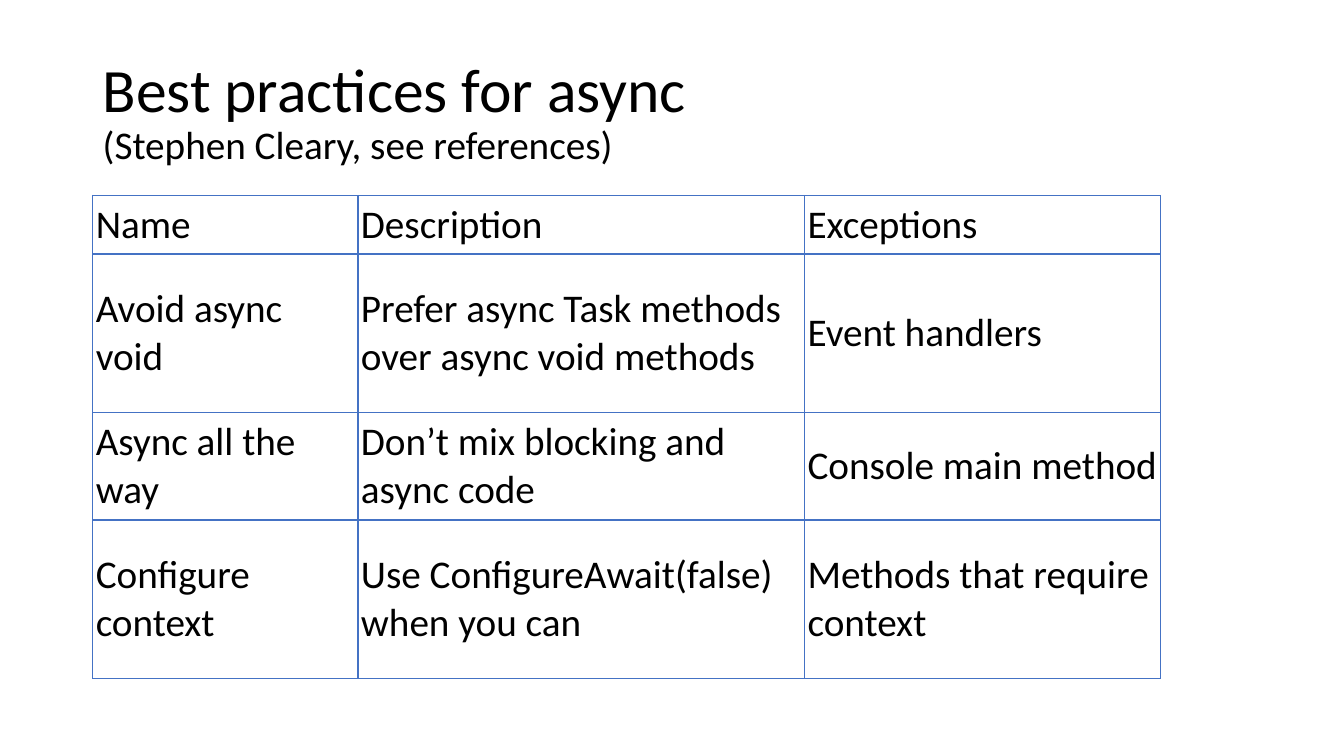
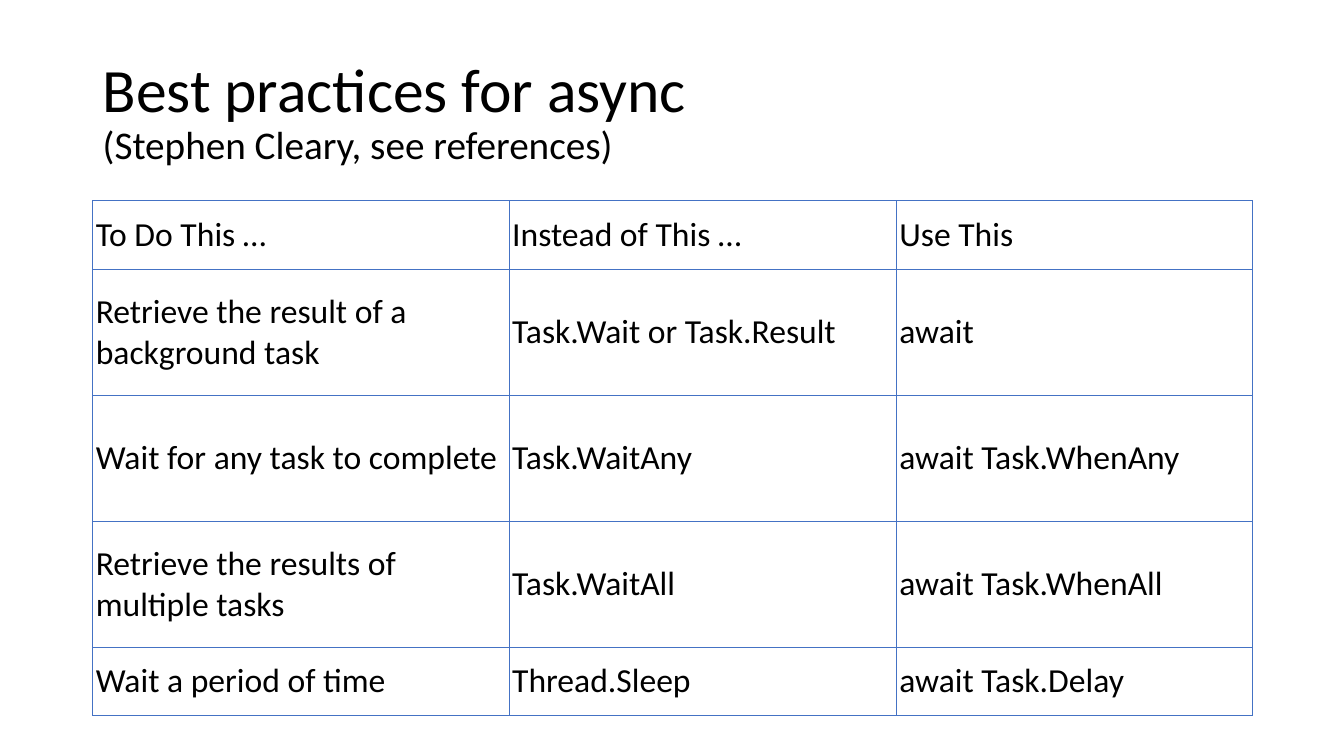
from dataclasses import dataclass

from lxml.etree import SubElement
from pptx import Presentation
from pptx.dml.color import RGBColor
from pptx.enum.text import MSO_ANCHOR
from pptx.oxml.ns import qn
from pptx.util import Inches, Pt


@dataclass(frozen=True)
class Theme:
    font: str = "Calibri"
    ink: str = "000000"
    rule: str = "4472C4"
    paper: str = "FFFFFF"
    title_size: int = 44
    subtitle_size: int = 28
    rule_width: float = 1
    left: float = 0.92
    cell_margin: float = 0.03


THEME = Theme()
SLIDE_SIZE = (13.33, 7.5)
TITLE_AREA = (THEME.left, 0.4, 11.5, 1.45)
TITLE = "Best practices for async"
SUBTITLE = "(Stephen Cleary, see references)"

TABLES = [
    {
        "top": 1.94,
        "size": 28,
        "columns": [2.63, 4.43, 3.53],
        "heights": [0.58, 1.57, 1.07, 1.57],
        "rows": [
            ("Name", "Description", "Exceptions"),
            ("Avoid async void", "Prefer async Task methods over async void methods", "Event handlers"),
            ("Async all the way", "Don’t mix blocking and async code", "Console main method"),
            ("Configure context", "Use ConfigureAwait(false) when you can", "Methods that require context"),
        ],
    },
    {
        "top": 1.99,
        "size": 24,
        "columns": [4.13, 3.84, 3.53],
        "heights": [0.68, 1.25, 1.25, 1.25, 0.68],
        "rows": [
            ("To Do This …", "Instead of This …", "Use This"),
            ("Retrieve the result of a background task", "Task.Wait or Task.Result", "await"),
            ("Wait for any task to complete", "Task.WaitAny", "await Task.WhenAny"),
            ("Retrieve the results of multiple tasks", "Task.WaitAll", "await Task.WhenAll"),
            ("Wait a period of time", "Thread.Sleep", "await Task.Delay"),
        ],
    },
]


def style_paragraph(para, size):
    para.font.name = THEME.font
    para.font.size = Pt(size)
    para.font.color.rgb = RGBColor.from_string(THEME.ink)


def add_title(page):
    box = page.shapes.add_textbox(*map(Inches, TITLE_AREA))
    frame = box.text_frame
    frame.word_wrap = True
    frame.vertical_anchor = MSO_ANCHOR.MIDDLE
    para = frame.paragraphs[0]
    para.line_spacing = 0.9
    style_paragraph(para, THEME.title_size)
    para.add_run().text = TITLE
    para.add_line_break()
    span = para.add_run()
    span.text = SUBTITLE
    span.font.size = Pt(THEME.subtitle_size)


def add_borders(cell):
    properties = cell._tc.get_or_add_tcPr()
    for side in ("lnL", "lnR", "lnT", "lnB"):
        line = SubElement(properties, qn(f"a:{side}"), w=str(Pt(THEME.rule_width)))
        fill = SubElement(line, qn("a:solidFill"))
        SubElement(fill, qn("a:srgbClr"), val=THEME.rule)


def fill_cell(cell, text, size):
    cell.text = text
    style_paragraph(cell.text_frame.paragraphs[0], size)
    cell.vertical_anchor = MSO_ANCHOR.MIDDLE
    margin = Inches(THEME.cell_margin)
    cell.margin_left = cell.margin_right = margin
    cell.margin_top = cell.margin_bottom = margin
    add_borders(cell)
    cell.fill.background()


def add_practice_table(page, content):
    columns, heights, rows = content["columns"], content["heights"], content["rows"]
    area = (THEME.left, content["top"], sum(columns), sum(heights))
    table = page.shapes.add_table(len(rows), len(columns), *map(Inches, area)).table
    table.first_row = table.horz_banding = False
    for column, width in zip(table.columns, columns):
        column.width = Inches(width)
    for row, height, texts in zip(table.rows, heights, rows):
        row.height = Inches(height)
        for cell, text in zip(row.cells, texts):
            fill_cell(cell, text, content["size"])


def main():
    deck = Presentation()
    deck.slide_width, deck.slide_height = map(Inches, SLIDE_SIZE)
    background = deck.slide_master.background.fill
    background.solid()
    background.fore_color.rgb = RGBColor.from_string(THEME.paper)
    for content in TABLES:
        page = deck.slides.add_slide(deck.slide_layouts[6])
        add_title(page)
        add_practice_table(page, content)
    deck.save("out.pptx")


if __name__ == "__main__":
    main()
